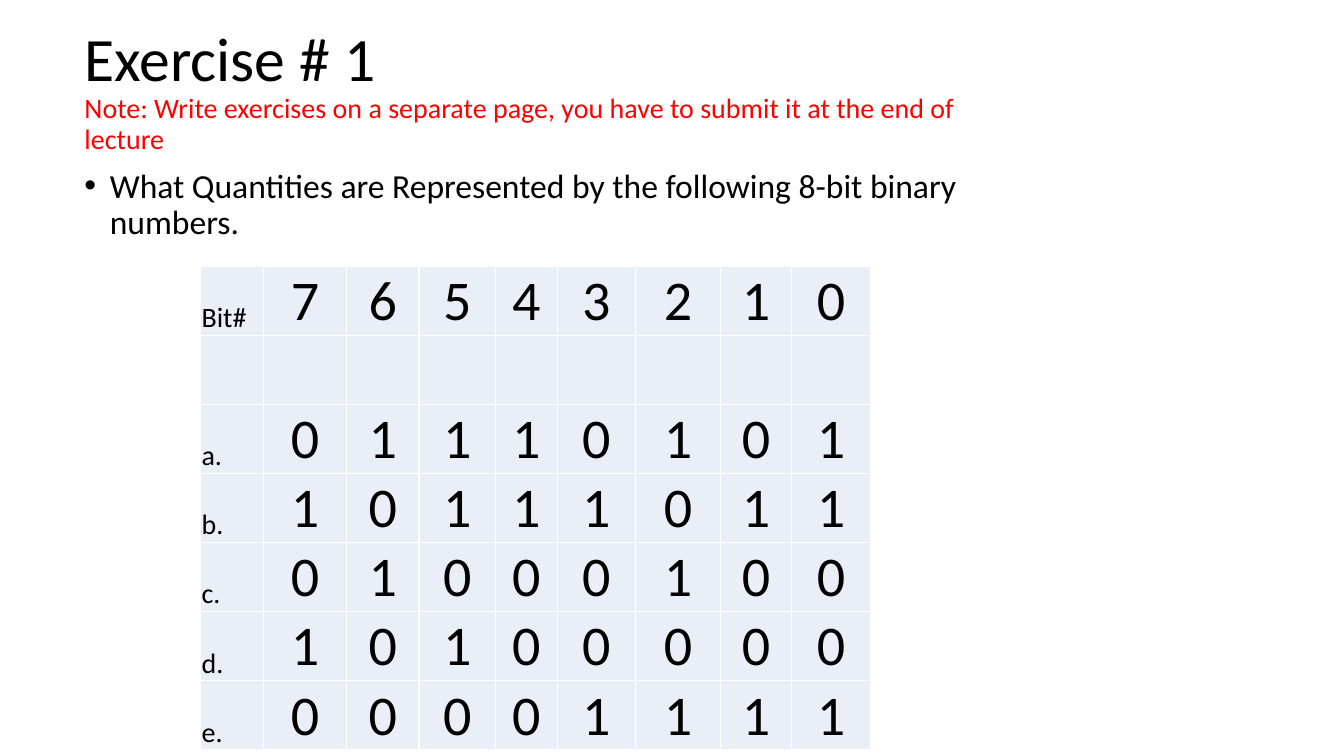
from dataclasses import dataclass

from lxml.etree import SubElement
from pptx import Presentation
from pptx.dml.color import RGBColor
from pptx.enum.text import MSO_ANCHOR as Anchor, PP_ALIGN as Align
from pptx.oxml.ns import qn
from pptx.util import Cm, Pt


@dataclass(frozen=True)
class Theme:
    font: str = "Calibri"
    ink: str = "000000"
    alert: str = "FF0000"
    cell: str = "EAEFF7"
    border: str = "FFFFFF"
    title: int = 44
    note: int = 20
    body: int = 24
    label: int = 20
    bit: int = 40


THEME = Theme()

TITLE = "Exercise # 1"
NOTE = ("Note: Write exercises on a separate page, "
        "you have to submit it at the end of lecture")
QUESTION = "What Quantities are Represented by the following 8-bit binary numbers."
BIT_ROWS = [
    ("Bit#", "76543210"),
    ("", " " * 8),
    ("a.", "01110101"),
    ("b.", "10111011"),
    ("c.", "01000100"),
    ("d.", "10100000"),
    ("e.", "00001111"),
]
COLUMN_WIDTHS = [1.6, 2.08, 1.83, 1.93, 1.55, 1.98, 2.13, 1.8, 1.98]
ROW_HEIGHT = 1.74


def add_text(paragraph, text, *, size, color=THEME.ink, align=Align.LEFT):
    paragraph.alignment = align
    run = paragraph.add_run()
    run.text = text
    run.font.name = THEME.font
    run.font.size = Pt(size)
    run.font.color.rgb = RGBColor.from_string(color)


def add_frame(slide, box, anchor):
    """Add a wrapping text box and return its first paragraph."""
    frame = slide.shapes.add_textbox(*map(Cm, box)).text_frame
    frame.word_wrap = True
    frame.vertical_anchor = anchor
    paragraph = frame.paragraphs[0]
    paragraph.line_spacing = 0.9
    return paragraph


def add_title(slide, box):
    paragraph = add_frame(slide, box, Anchor.MIDDLE)
    add_text(paragraph, TITLE, size=THEME.title)
    paragraph.add_line_break()
    add_text(paragraph, NOTE, size=THEME.note, color=THEME.alert)


def add_question(slide, box):
    paragraph = add_frame(slide, box, Anchor.TOP)
    properties = paragraph._p.get_or_add_pPr()
    properties.set("marL", str(Cm(0.64)))
    properties.set("indent", str(Cm(-0.64)))
    SubElement(properties, qn("a:buFont"), typeface="Arial")
    SubElement(properties, qn("a:buChar"), char="•")
    add_text(paragraph, QUESTION, size=THEME.body)


def style_cell(cell):
    """Set margins, white borders and the pale fill."""
    cell.vertical_anchor = Anchor.BOTTOM
    cell.margin_left = cell.margin_right = cell.margin_top = Cm(0.03)
    cell.margin_bottom = 0
    properties = cell._tc.get_or_add_tcPr()
    for side in ("lnL", "lnR", "lnT", "lnB"):
        line = SubElement(properties, qn(f"a:{side}"), w=str(Pt(1)))
        SubElement(SubElement(line, qn("a:solidFill")), qn("a:srgbClr"), val=THEME.border)
    cell.fill.solid()
    cell.fill.fore_color.rgb = RGBColor.from_string(THEME.cell)


def add_bit_table(slide, left, top):
    table = slide.shapes.add_table(
        len(BIT_ROWS), len(COLUMN_WIDTHS), Cm(left), Cm(top),
        Cm(sum(COLUMN_WIDTHS)), Cm(ROW_HEIGHT * len(BIT_ROWS))).table
    table.first_row = table.horz_banding = False
    for column, width in zip(table.columns, COLUMN_WIDTHS):
        column.width = Cm(width)
    for row, (label, bits) in zip(table.rows, BIT_ROWS):
        row.height = Cm(ROW_HEIGHT)
        for index, (cell, text) in enumerate(zip(row.cells, [label, *bits])):
            style_cell(cell)
            if not text.strip():
                continue
            paragraph = cell.text_frame.paragraphs[0]
            if index == 0:
                add_text(paragraph, text, size=THEME.label)
            else:
                add_text(paragraph, text, size=THEME.bit, align=Align.CENTER)


def main():
    presentation = Presentation()
    presentation.slide_width, presentation.slide_height = Cm(33.87), Cm(19.05)
    slide = presentation.slides.add_slide(presentation.slide_layouts[6])
    add_title(slide, (1.88, 0.48, 23.88, 3.66))
    add_question(slide, (1.88, 4.14, 25.25, 13.67))
    add_bit_table(slide, 5.05, 6.71)
    presentation.save("out.pptx")


if __name__ == "__main__":
    main()
